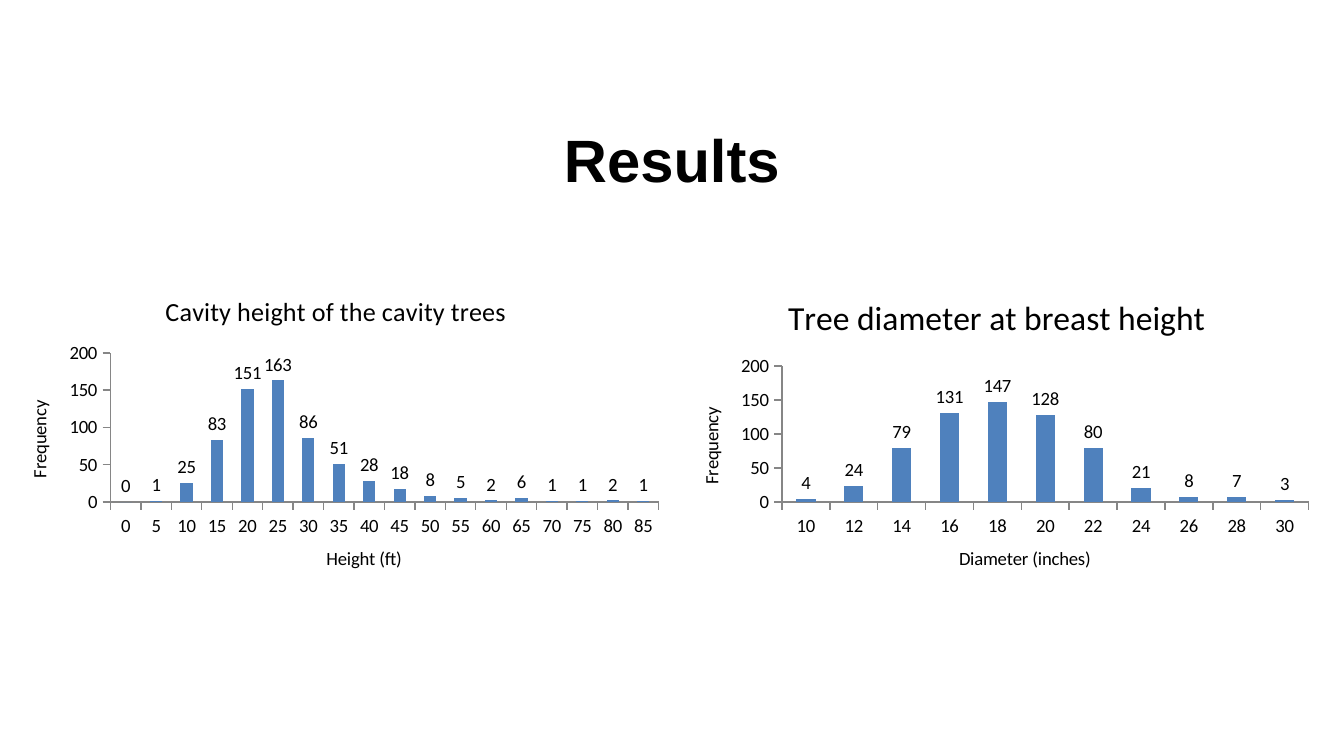
import pptx
import pptx.chart.data
import pptx.dml.color
import pptx.enum.chart
import pptx.enum.text
import pptx.util

Pt = pptx.util.Pt
COLORS = {"text": "000000", "bar": "4F81BD", "axis": "868686"}


def style_font(font, size, bold=False, name="Calibri"):
    font.name = name
    font.size = Pt(size)
    font.bold = bold
    font.color.rgb = pptx.dml.color.RGBColor.from_string(COLORS["text"])


def set_title(owner, text, size):
    frame = owner.text_frame
    frame.text = text
    style_font(frame.paragraphs[0].runs[0].font, size)


deck = pptx.Presentation()
deck.slide_width, deck.slide_height = Pt(720), Pt(405)
page = deck.slides.add_slide(deck.slide_layouts[5])

# Slide title
title = page.shapes.title
title.left, title.top, title.width, title.height = Pt(36), Pt(53.3), Pt(648), Pt(63.3)
title.text_frame.text = "Results"
title.text_frame.vertical_anchor = pptx.enum.text.MSO_ANCHOR.MIDDLE
para = title.text_frame.paragraphs[0]
para.alignment = pptx.enum.text.PP_ALIGN.CENTER
style_font(para.runs[0].font, 32, True, "Arial")

# Histograms: left, width, title, title size, axis label, classes, frequencies
histograms = [
    (0, 360, "Cavity height of the cavity trees", 14, "Height (ft)", range(0, 90, 5),
     [0, 1, 25, 83, 151, 163, 86, 51, 28, 18, 8, 5, 2, 6, 1, 1, 2, 1]),
    (360, 348, "Tree diameter at breast height", 18, "Diameter (inches)", range(10, 32, 2),
     [4, 24, 79, 131, 147, 128, 80, 21, 8, 7, 3]),
]
for left, width, heading, heading_size, label, classes, counts in histograms:
    data = pptx.chart.data.CategoryChartData()
    data.categories = [str(value) for value in classes]
    data.add_series("Series 1", counts)
    chart = page.shapes.add_chart(
        pptx.enum.chart.XL_CHART_TYPE.COLUMN_CLUSTERED,
        Pt(left), Pt(147), Pt(width), Pt(173), data).chart
    style_font(chart.font, 10)
    chart.has_legend = False
    chart.has_title = True
    set_title(chart.chart_title, heading, heading_size)
    chart.chart_title.include_in_layout = False

    # Bars and their values
    plot = chart.plots[0]
    plot.gap_width = 150
    plot.vary_by_categories = False
    fill = plot.series[0].format.fill
    fill.solid()
    fill.fore_color.rgb = pptx.dml.color.RGBColor.from_string(COLORS["bar"])
    plot.has_data_labels = True
    plot.data_labels.show_value = True
    plot.data_labels.position = pptx.enum.chart.XL_LABEL_POSITION.OUTSIDE_END
    style_font(plot.data_labels.font, 10)

    # Axes
    for axis, name in ((chart.category_axis, label), (chart.value_axis, "Frequency")):
        axis.has_title = True
        set_title(axis.axis_title, name, 10)
        axis.has_major_gridlines = False
        axis.major_tick_mark = pptx.enum.chart.XL_TICK_MARK.OUTSIDE
        axis.minor_tick_mark = pptx.enum.chart.XL_TICK_MARK.NONE
        axis.format.line.width = Pt(0.75)
        axis.format.line.color.rgb = pptx.dml.color.RGBColor.from_string(COLORS["axis"])
        style_font(axis.tick_labels.font, 10)
    chart.value_axis.minimum_scale = 0
    chart.value_axis.maximum_scale = 200
    chart.value_axis.major_unit = 50

deck.save("out.pptx")
